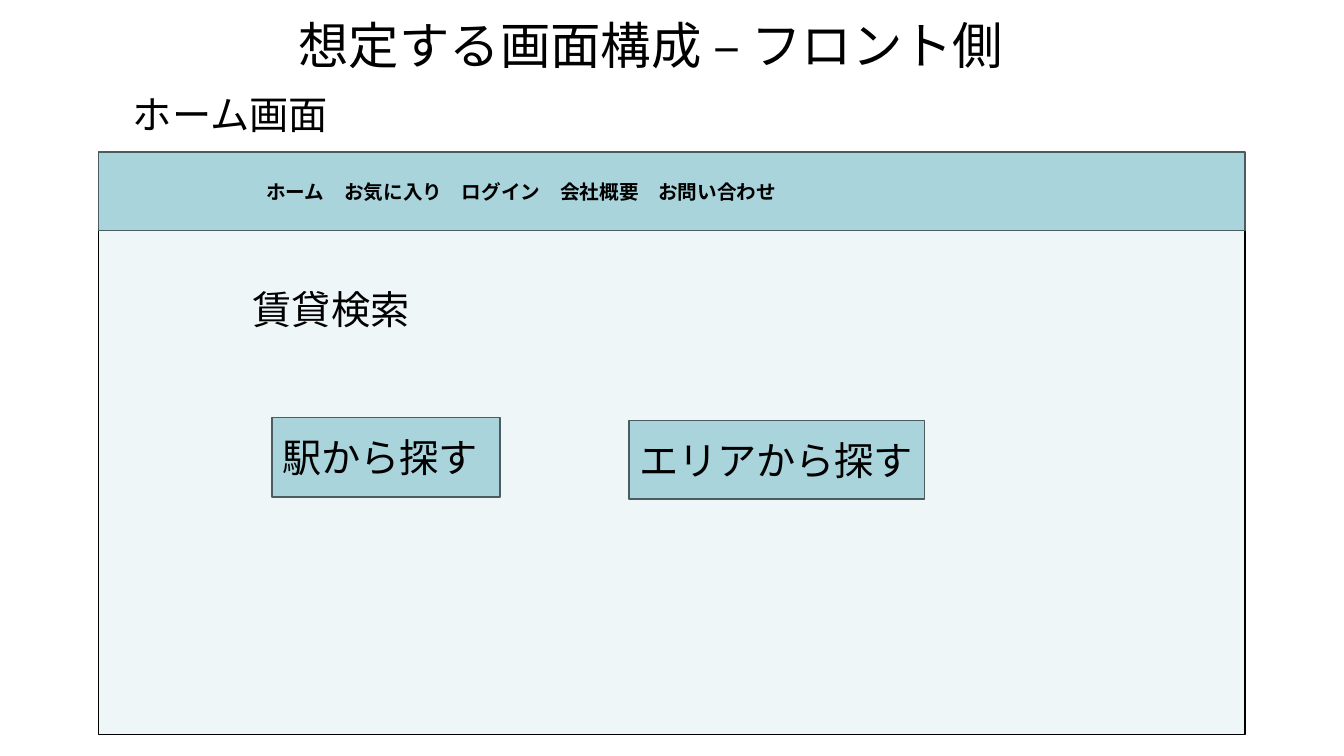
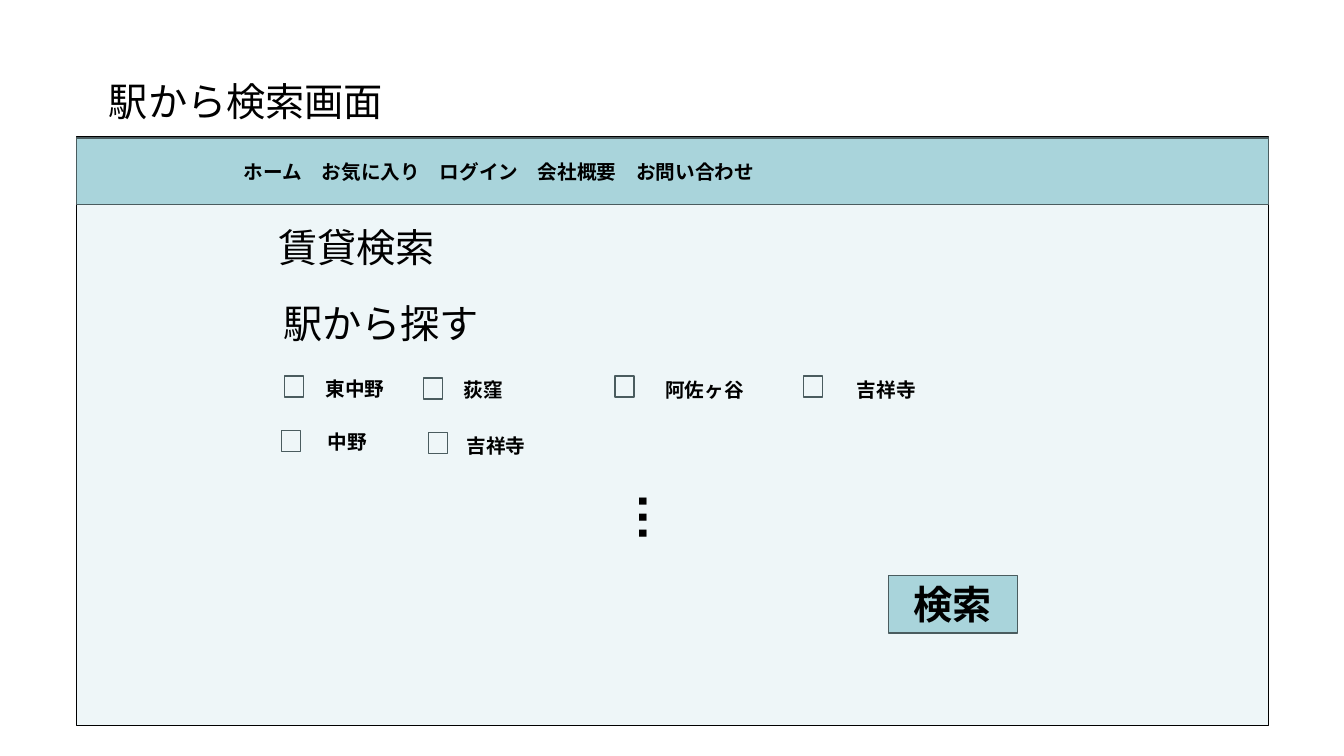
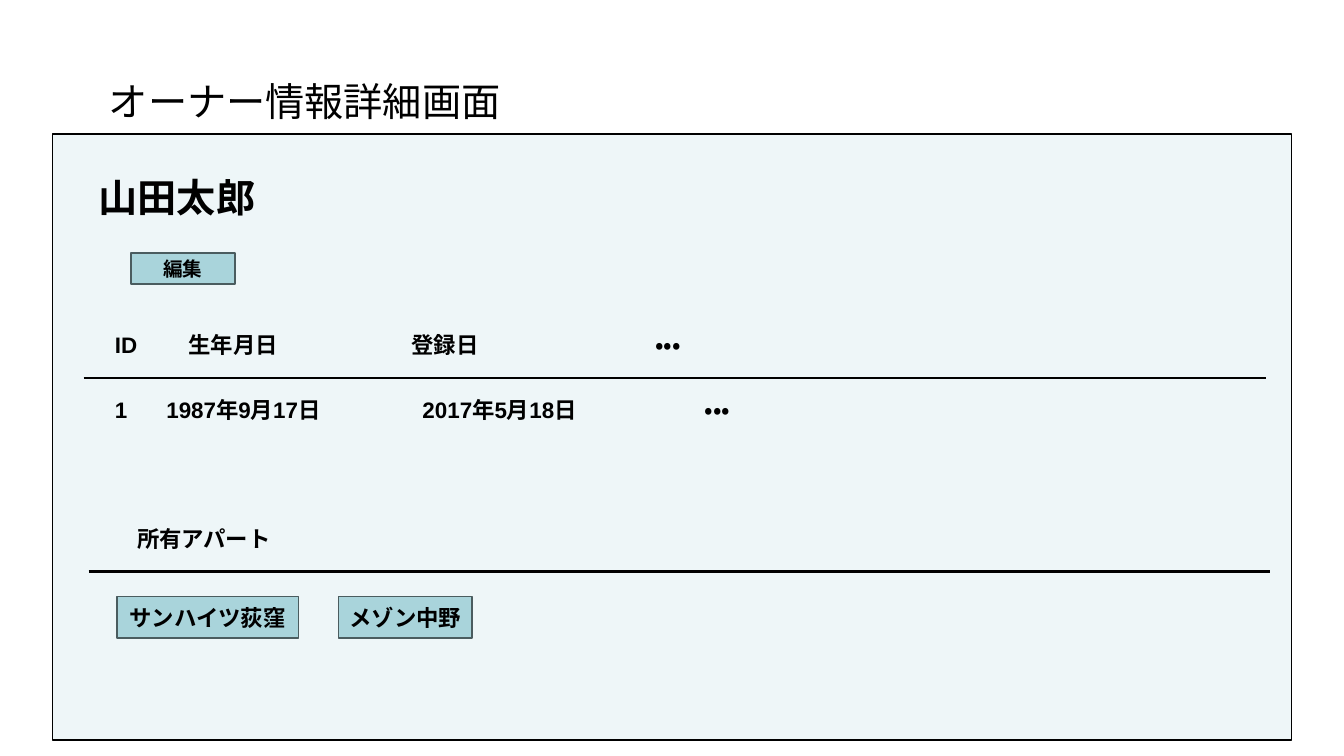
from lxml import etree
from pptx import Presentation
from pptx.dml.color import RGBColor
from pptx.enum.lang import MSO_LANGUAGE_ID
from pptx.enum.shapes import MSO_CONNECTOR, MSO_SHAPE
from pptx.enum.text import MSO_ANCHOR, MSO_AUTO_SIZE, PP_ALIGN
from pptx.oxml.ns import qn
from pptx.util import Inches, Pt

BLACK = RGBColor(0x00, 0x00, 0x00)
PALE = RGBColor(0xEE, 0xF6, 0xF8)
TEAL = RGBColor(0xA9, 0xD4, 0xDB)
SLATE = RGBColor(0x4A, 0x5C, 0x5F)
FONT = "Arial"
RECT = MSO_SHAPE.RECTANGLE
STRAIGHT = MSO_CONNECTOR.STRAIGHT
TOP, MIDDLE = MSO_ANCHOR.TOP, MSO_ANCHOR.MIDDLE
LEFT, CENTER = PP_ALIGN.LEFT, PP_ALIGN.CENTER
FIXED = MSO_AUTO_SIZE.NONE
JAPANESE = MSO_LANGUAGE_ID.JAPANESE
TITLE_ONLY = 5
MENU = "ホーム　お気に入り　ログイン　会社概要　お問い合わせ"


class Deck:
    def __init__(self):
        self.prs = Presentation()
        self.prs.slide_width = Inches(13.33)
        self.prs.slide_height = Inches(7.5)
        self.slide = None

    def new(self, title, x, y, w, size=28):
        layout = self.prs.slide_layouts[TITLE_ONLY]
        self.slide = self.prs.slides.add_slide(layout)
        head = self.slide.shapes.title
        head.left, head.top = Inches(x), Inches(y)
        head.width, head.height = Inches(w), Inches(0.6)
        self.fill_in(head, title, size, anchor=MIDDLE, spacing=0.9)

    def fill_in(self, shape, text, size, bold=False, align=LEFT, anchor=TOP,
                inset=0.1, spacing=None):
        """Put styled text into a shape."""
        frame = shape.text_frame
        frame.word_wrap = True
        frame.auto_size = FIXED
        frame.vertical_anchor = anchor
        frame.margin_left, frame.margin_right = Inches(inset), Inches(0.1)
        frame.margin_top = frame.margin_bottom = Inches(0.05)
        para = frame.paragraphs[0]
        para.alignment = align
        if spacing:
            para.line_spacing = spacing
        run = para.add_run()
        run.text = text
        font = run.font
        font.name, font.size, font.bold = FONT, Pt(size), bold
        font.color.rgb = BLACK
        font.language_id = JAPANESE

    def text(self, text, x, y, w, h, size=28, bold=False, **style):
        box = self.slide.shapes.add_textbox(
            Inches(x), Inches(y), Inches(w), Inches(h))
        self.fill_in(box, text, size, bold, **style)
        return box

    def rect(self, x, y, w, h, fill=None, line=SLATE):
        box = self.slide.shapes.add_shape(
            RECT, Inches(x), Inches(y), Inches(w), Inches(h))
        box.shadow.inherit = False
        if fill is None:
            box.fill.background()
        else:
            box.fill.solid()
            box.fill.fore_color.rgb = fill
        box.line.color.rgb = line
        box.line.width = Pt(1)
        return box

    def frame(self, x, y, w, h):
        self.rect(x, y, w, h, PALE, BLACK)

    def menu(self, x, y, w, h):
        bar = self.rect(x, y, w, h, TEAL)
        self.fill_in(bar, MENU, 14, True, anchor=MIDDLE, inset=1.66)

    def button(self, text, x, y, w, h, size=28, bold=True, align=CENTER):
        box = self.rect(x, y, w, h, TEAL)
        self.fill_in(box, text, size, bold, align, MIDDLE)

    def check(self, text, x, y, text_x, text_y):
        self.rect(x, y, 0.19, 0.21)
        self.text(text, text_x, text_y, 1.18, 0.33, 14, True)

    def dots(self, x, y, w, h):
        """Vertical ellipsis."""
        box = self.text("…", x, y, w, h, 36, True)
        frame = box.text_frame
        frame.margin_left = frame.margin_right = Inches(0.05)
        frame.margin_top = frame.margin_bottom = Inches(0.1)
        box.element.txBody.find(qn("a:bodyPr")).set("vert", "vert")

    def row(self, cells, stops, y):
        """One line of cells, set apart by tab stops."""
        box = self.text("\t".join(cells), 0.79, y, 11.42, 0.37, 16, True,
                        inset=0.35)
        props = box.element.txBody.find(f"{qn('a:p')}/{qn('a:pPr')}")
        tabs = etree.SubElement(props, qn("a:tabLst"))
        for stop in stops:
            etree.SubElement(tabs, qn("a:tab"), pos=str(int(Inches(stop))),
                             algn="l")

    def rule(self, x, y, w):
        line = self.slide.shapes.add_connector(
            STRAIGHT, Inches(x), Inches(y), Inches(x + w), Inches(y))
        line.line.color.rgb = BLACK
        line.line.width = Pt(0)
        etree.SubElement(line.element.spPr, qn("a:effectLst"))


def home(deck):
    deck.new("想定する画面構成 – フロント側", 2.86, 0.18, 7.6, 36)
    deck.frame(0.98, 1.55, 11.37, 5.74)
    deck.menu(0.98, 1.51, 11.37, 0.78)
    deck.button("駅から探す", 2.7, 4.14, 2.26, 0.79, bold=False, align=LEFT)
    deck.button("エリアから探す", 6.24, 4.17, 2.93, 0.78, bold=False, align=LEFT)
    deck.text("賃貸検索", 2.41, 2.78, 2.14, 0.59)
    deck.text("ホーム画面", 1.22, 0.9, 2.38, 0.6, spacing=0.9)


def search(deck):
    deck.new("駅から検索画面", 0.98, 0.73, 2.99)
    deck.frame(0.76, 1.36, 11.82, 5.84)
    deck.menu(0.76, 1.37, 11.82, 0.66)
    deck.text("賃貸検索", 2.66, 2.17, 2.67, 0.56)
    deck.text("駅から探す", 2.71, 2.92, 2.67, 0.56)
    for station in (
        ("東中野", 2.82, 3.73, 3.13, 3.69),
        ("荻窪", 4.2, 3.75, 4.5, 3.7),
        ("阿佐ヶ谷", 6.1, 3.73, 6.5, 3.7),
        ("吉祥寺", 7.97, 3.73, 8.4, 3.7),
        ("中野", 2.79, 4.27, 3.15, 4.22),
        ("吉祥寺", 4.25, 4.29, 4.53, 4.26),
    ):
        deck.check(*station)
    deck.dots(6.08, 4.79, 0.81, 0.92)
    deck.button("検索", 8.81, 5.71, 1.28, 0.57)


def owner(deck):
    deck.new("オーナー情報詳細画面", 0.98, 0.73, 4.23)
    deck.frame(0.52, 1.33, 12.29, 6.01)
    deck.text("山田太郎", 0.88, 1.67, 6.88, 0.57, bold=True)
    deck.button("編集", 1.3, 2.51, 1.03, 0.31, 14)
    deck.row(("ID", "生年月日", "登録日", "・・・"), (0.73, 2.94, 5.36), 3.24)
    deck.rule(0.83, 3.75, 11.73)
    deck.row(("1", "1987年9月17日", "2017年5月18日", "・・・"),
             (0.51, 3.05, 5.85), 3.88)
    deck.text("所有アパート", 0.83, 5.16, 11.42, 0.37, 16, True, inset=0.53)
    deck.rule(0.88, 5.67, 11.72)
    deck.button("サンハイツ荻窪", 1.16, 5.92, 1.8, 0.41, 16)
    deck.button("メゾン中野", 3.36, 5.92, 1.32, 0.41, 16)


def main():
    deck = Deck()
    for build in (home, search, owner):
        build(deck)
    deck.prs.save("out.pptx")


if __name__ == "__main__":
    main()
